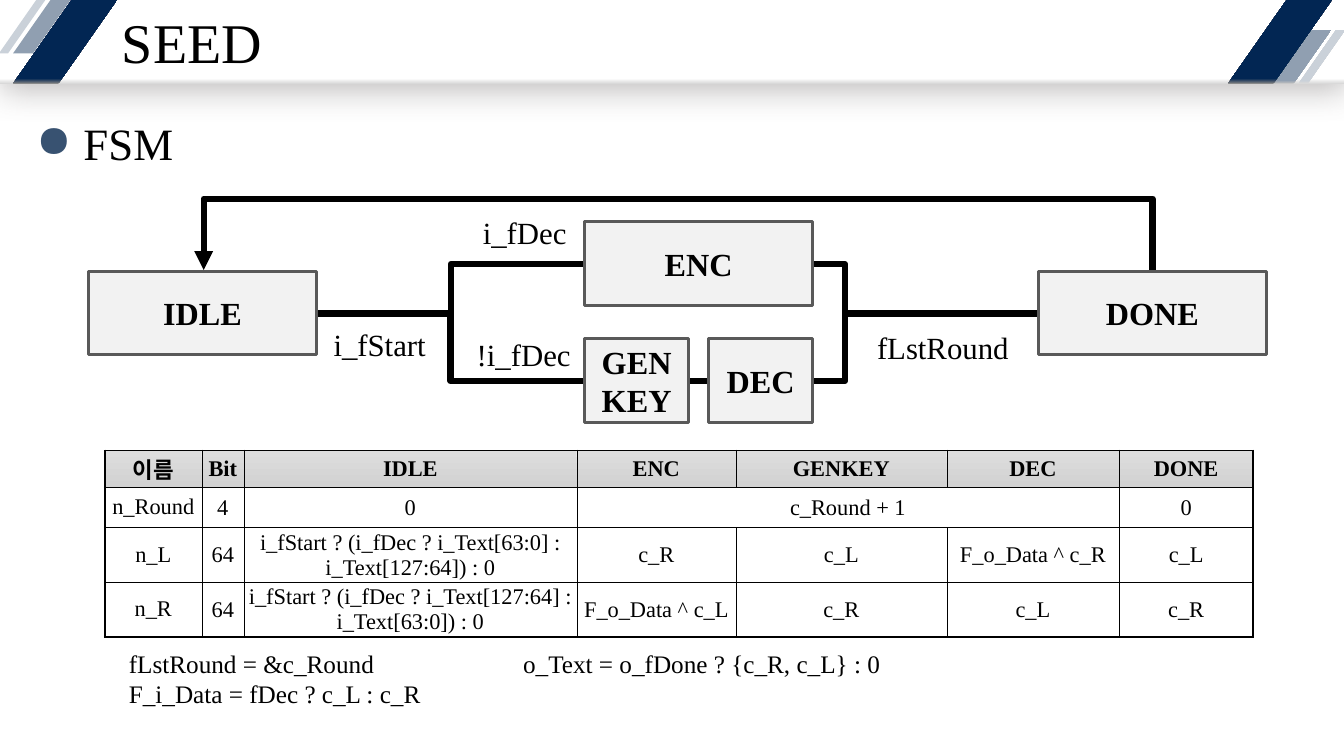
"""Build the SEED finite state machine slide."""
from dataclasses import dataclass

from lxml import etree
from pptx import Presentation
from pptx import util as u
from pptx.dml.color import RGBColor
from pptx.enum import shapes, text
from pptx.oxml import parse_xml
from pptx.oxml.ns import nsdecls, qn

FONT = "Times New Roman"
BLACK = RGBColor(0x00, 0x00, 0x00)
WHITE = RGBColor(0xFF, 0xFF, 0xFF)
NAVY = RGBColor(0x02, 0x26, 0x53)
STEEL = RGBColor(0x90, 0x9F, 0xB1)
MIST = RGBColor(0xCA, 0xD1, 0xD9)
EDGE_DARK = RGBColor(0x80, 0x80, 0x80)
EDGE_MID = RGBColor(0xBF, 0xBF, 0xBF)
EDGE_LIGHT = RGBColor(0xD9, 0xD9, 0xD9)
SHADOW = RGBColor(0x76, 0x71, 0x71)
STATE_FILL = RGBColor(0xF2, 0xF2, 0xF2)
STATE_LINE = RGBColor(0x59, 0x59, 0x59)
HEAD_TOP = RGBColor(0xDD, 0xDD, 0xDD)
HEAD_BOTTOM = RGBColor(0xD2, 0xD2, 0xD2)
BULLET = RGBColor(0x38, 0x52, 0x71)


@dataclass(frozen=True)
class Stripe:
    left: float
    top: float
    width: float
    height: float
    slant: float
    color: RGBColor
    edge: RGBColor | None = None


@dataclass(frozen=True)
class State:
    name: str
    left: float
    top: float
    width: float = 2.26


@dataclass(frozen=True)
class Label:
    lines: tuple[str, ...]
    left: float
    top: float
    width: float
    height: float = 0.47
    size: int = 22
    wrap: bool = True


@dataclass(frozen=True)
class Branch:
    start: tuple[float, float]
    end: tuple[float, float]
    bend: float


STRIPES = (
    Stripe(0.13, 0, 0.57, 0.53, 0.702, STEEL),
    Stripe(0.13, 0, 1.03, 0.83, 0.701, NAVY, EDGE_DARK),
    Stripe(-0.01, 0, 0.46, 0.53, 0.804, MIST),
    Stripe(12.63, 0.3, 0.57, 0.53, 0.702, STEEL, EDGE_MID),
    Stripe(12.18, 0, 1.03, 0.83, 0.701, NAVY, EDGE_DARK),
    Stripe(12.88, 0.3, 0.46, 0.53, 0.804, MIST, EDGE_LIGHT),
)
IDLE_OUT, DONE_IN = (3.15, 3.11), (10.3, 3.11)
BRANCHES = (
    Branch(IDLE_OUT, (7.03, 3.78), 4.47),
    Branch(IDLE_OUT, (5.8, 2.62), 4.47),
    Branch(DONE_IN, (8.06, 2.62), 8.38),
    Branch(DONE_IN, (8.06, 3.78), 8.38),
)
STATES = (
    State("IDLE", 0.88, 2.69),
    State("ENC", 5.8, 2.2),
    State("GENKEY", 5.8, 3.36, 1.03),
    State("DEC", 7.03, 3.36, 1.03),
    State("DONE", 10.3, 2.69),
)
LABELS = (
    Label(("i_fStart",), 3.21, 3.18, 1.13),
    Label(("fLstRound",), 8.6, 3.21, 1.52),
    Label(("i_fDec",), 4.69, 2.07, 1.04),
    Label(("!i_fDec",), 4.63, 3.28, 1.15),
    Label(("fLstRound = &c_Round", "F_i_Data = fDec ? c_L : c_R"), 1.18, 6.38, 3.13, 0.71, 18, False),
    Label(("o_Text = o_fDone ? {c_R, c_L} : 0",), 5.09, 6.38, 3.78, 0.4, 18, False),
)
COLUMNS = (0.96, 0.42, 3.3, 1.58, 2.09, 1.71, 1.33)
ROWS = (0.36, 0.4, 0.54, 0.54)
CELLS = (
    ("이름", "Bit", "IDLE", "ENC", "GENKEY", "DEC", "DONE"),
    ("n_Round", "4", "0", "c_Round + 1", "", "", "0"),
    ("n_L", "64", "i_fStart ? (i_fDec ? i_Text[63:0] : i_Text[127:64]) : 0",
     "c_R", "c_L", "F_o_Data ^ c_R", "c_L"),
    ("n_R", "64", "i_fStart ? (i_fDec ? i_Text[127:64] : i_Text[63:0]) : 0",
     "F_o_Data ^ c_L", "c_R", "c_L", "c_R"),
)


def write(frame, *lines: str, size: float, bold: bool = False, align=None, spacing=None, before=None) -> None:
    """Fill a text frame with one formatted paragraph per line."""
    for index, line in enumerate(lines):
        para = frame.add_paragraph() if index else frame.paragraphs[0]
        para.alignment, para.line_spacing, para.space_before = align, spacing, before
        span = para.add_run()
        span.text = line
        span.font.name, span.font.size, span.font.bold = FONT, u.Pt(size), bold
        span.font.color.rgb = BLACK


def set_gradient(fill, properties, stops: list[tuple[int, RGBColor]], angle: int) -> None:
    """Give a shape or cell a linear gradient."""
    fill.solid()
    marks = "".join(f'<a:gs pos="{at * 1000}"><a:srgbClr val="{color}"/></a:gs>' for at, color in stops)
    gradient = parse_xml(f'<a:gradFill {nsdecls("a")} rotWithShape="1"><a:gsLst>{marks}</a:gsLst>'
                         f'<a:lin ang="{angle * 60000}" scaled="0"/></a:gradFill>')
    properties.replace(properties.find(qn("a:solidFill")), gradient)


def add_box(page, kind, left: float, top: float, width: float, height: float):
    """Add a preset shape without line or shadow."""
    box = page.shapes.add_shape(kind, *map(u.Inches, (left, top, width, height)))
    box.shadow.inherit = False
    box.line.fill.background()
    return box


def add_header(page) -> None:
    """Draw the header band, its corner stripes and the title."""
    band = add_box(page, shapes.MSO_SHAPE.RECTANGLE, 0, 0, 13.33, 0.83)
    set_gradient(band.fill, band._element.spPr, [(0, EDGE_LIGHT), (6, WHITE), (100, WHITE)], 270)
    band._element.spPr.find(qn("a:effectLst")).append(parse_xml(
        f'<a:outerShdw {nsdecls("a")} blurRad="{u.Pt(24)}" dist="{u.Pt(3)}" dir="{80 * 60000}" algn="t" '
        f'rotWithShape="0"><a:srgbClr val="{SHADOW}"><a:alpha val="50000"/></a:srgbClr></a:outerShdw>'))
    for stripe in STRIPES:
        box = add_box(page, shapes.MSO_SHAPE.PARALLELOGRAM, stripe.left, stripe.top, stripe.width, stripe.height)
        box.adjustments[0] = stripe.slant
        if stripe.edge:
            stops = [(0, stripe.edge), (6, stripe.color), (100, stripe.color)]
            set_gradient(box.fill, box._element.spPr, stops, 270)
        else:
            box.fill.solid()
            box.fill.fore_color.rgb = stripe.color
    title = page.shapes.title
    title.left, title.top, title.width, title.height = map(u.Inches, (0.15, 0, 8.76, 0.83))
    frame = title.text_frame
    frame.margin_left = frame.margin_right = u.Inches(1.06)
    frame.margin_top, frame.margin_bottom = u.Inches(0.12), u.Inches(0.04)
    frame.vertical_anchor, frame.auto_size = text.MSO_ANCHOR.MIDDLE, text.MSO_AUTO_SIZE.NONE
    write(frame, "SEED", size=40, align=text.PP_ALIGN.LEFT, spacing=0.9)
    page.shapes._spTree.append(title._element)


def add_elbow(page, start: tuple[float, float], end: tuple[float, float], ratio: float):
    """Add a thick elbow connector that turns at a share of its width."""
    link = page.shapes.add_connector(shapes.MSO_CONNECTOR.ELBOW, *map(u.Inches, start + end))
    link.line.color.rgb, link.line.width = BLACK, u.Pt(4.5)
    properties = link._element.spPr
    guides = properties.find(qn("a:prstGeom")).get_or_add_avLst()
    etree.SubElement(guides, qn("a:gd"), name="adj1", fmla=f"val {round(ratio * 100000)}")
    etree.SubElement(properties, qn("a:effectLst"))
    return link


def add_feedback(page) -> None:
    """Draw the arrow that runs over the top from DONE to IDLE."""
    link = add_elbow(page, (6.72, 7.39), (6.73, -2.02), 73)
    link._element.spPr.find(qn("a:xfrm")).set("rot", str(270 * 60000))
    etree.SubElement(link.line._get_or_add_ln(), qn("a:tailEnd"), type="triangle")


def add_state(page, state: State) -> None:
    """Draw one state box."""
    box = add_box(page, shapes.MSO_SHAPE.RECTANGLE, state.left, state.top, state.width, 0.83)
    box.fill.solid()
    box.fill.fore_color.rgb = STATE_FILL
    box.line.color.rgb, box.line.width = STATE_LINE, u.Pt(2.25)
    box.text_frame.word_wrap, box.text_frame.vertical_anchor = True, text.MSO_ANCHOR.MIDDLE
    write(box.text_frame, state.name, size=23, bold=True, align=text.PP_ALIGN.CENTER)


def add_label(page, label: Label) -> None:
    """Place one free text."""
    box = page.shapes.add_textbox(*map(u.Inches, (label.left, label.top, label.width, label.height)))
    box.text_frame.word_wrap = label.wrap
    write(box.text_frame, *label.lines, size=label.size)


def add_heading(page) -> None:
    """Place the bulleted heading."""
    box = page.shapes.add_textbox(*map(u.Inches, (0.26, 1.16, 12.9, 5.59)))
    box.text_frame.word_wrap = True
    write(box.text_frame, "FSM", size=32, spacing=0.9, before=u.Pt(10))
    properties = box.text_frame.paragraphs[0]._p.get_or_add_pPr()
    properties.set("marL", str(u.Inches(0.47)))
    properties.set("indent", str(-u.Inches(0.47)))
    color = etree.SubElement(properties, qn("a:buClr"))
    etree.SubElement(color, qn("a:srgbClr"), val=str(BULLET))
    etree.SubElement(properties, qn("a:buChar"), char="●")


def add_borders(cell, row: int, column: int) -> None:
    """Line a cell, thicker along the outside of the table."""
    outside = {"L": column == 0, "R": column == len(COLUMNS) - 1, "T": row == 0, "B": row == len(ROWS) - 1}
    for index, (side, thick) in enumerate(outside.items()):
        cell._tc.get_or_add_tcPr().insert(index, parse_xml(
            f'<a:ln{side} {nsdecls("a")} w="{u.Pt(1.5 if thick else 0.25)}"><a:solidFill>'
            f'<a:srgbClr val="{BLACK}"/></a:solidFill></a:ln{side}>'))


def add_register_table(page) -> None:
    """Draw the table of next register values by state."""
    area = map(u.Inches, (1.04, 4.47, sum(COLUMNS), sum(ROWS)))
    table = page.shapes.add_table(len(ROWS), len(COLUMNS), *area).table
    for column, width in zip(table.columns, COLUMNS):
        column.width = u.Inches(width)
    for row, height in enumerate(ROWS):
        table.rows[row].height = u.Inches(height)
        for column, words in enumerate(CELLS[row]):
            cell = table.cell(row, column)
            margin = u.Inches(0.01 if column else 0)
            cell.margin_left = cell.margin_right = cell.margin_top = margin
            cell.margin_bottom = 0
            cell.vertical_anchor = text.MSO_ANCHOR.MIDDLE
            if row == 0:
                set_gradient(cell.fill, cell._tc.get_or_add_tcPr(), [(0, HEAD_TOP), (100, HEAD_BOTTOM)], 90)
            else:
                cell.fill.solid()
                cell.fill.fore_color.rgb = WHITE
            add_borders(cell, row, column)
            if words:
                write(cell.text_frame, words, size=16, bold=row == 0, align=text.PP_ALIGN.CENTER)
    table.cell(1, 3).merge(table.cell(1, 5))


def main() -> None:
    """Build and save the deck."""
    deck = Presentation()
    deck.slide_width, deck.slide_height = u.Inches(13.33), u.Inches(7.5)
    page = deck.slides.add_slide(deck.slide_layouts[5])
    add_header(page)
    add_feedback(page)
    for branch in BRANCHES:
        ratio = (branch.bend - branch.start[0]) / (branch.end[0] - branch.start[0])
        add_elbow(page, branch.start, branch.end, ratio)
    for state in STATES:
        add_state(page, state)
    for label in LABELS:
        add_label(page, label)
    add_register_table(page)
    add_heading(page)
    deck.save("out.pptx")


if __name__ == "__main__":
    main()
